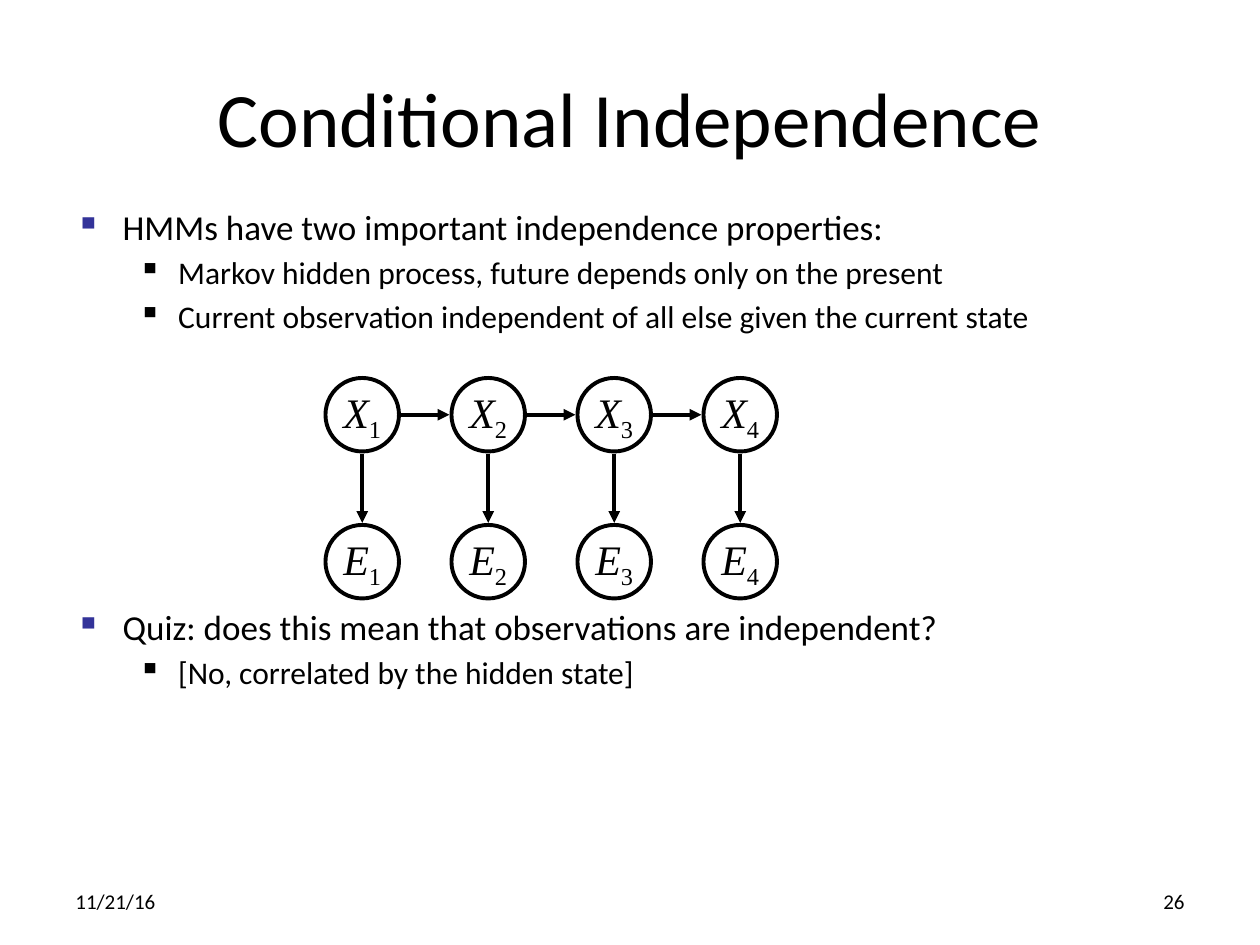
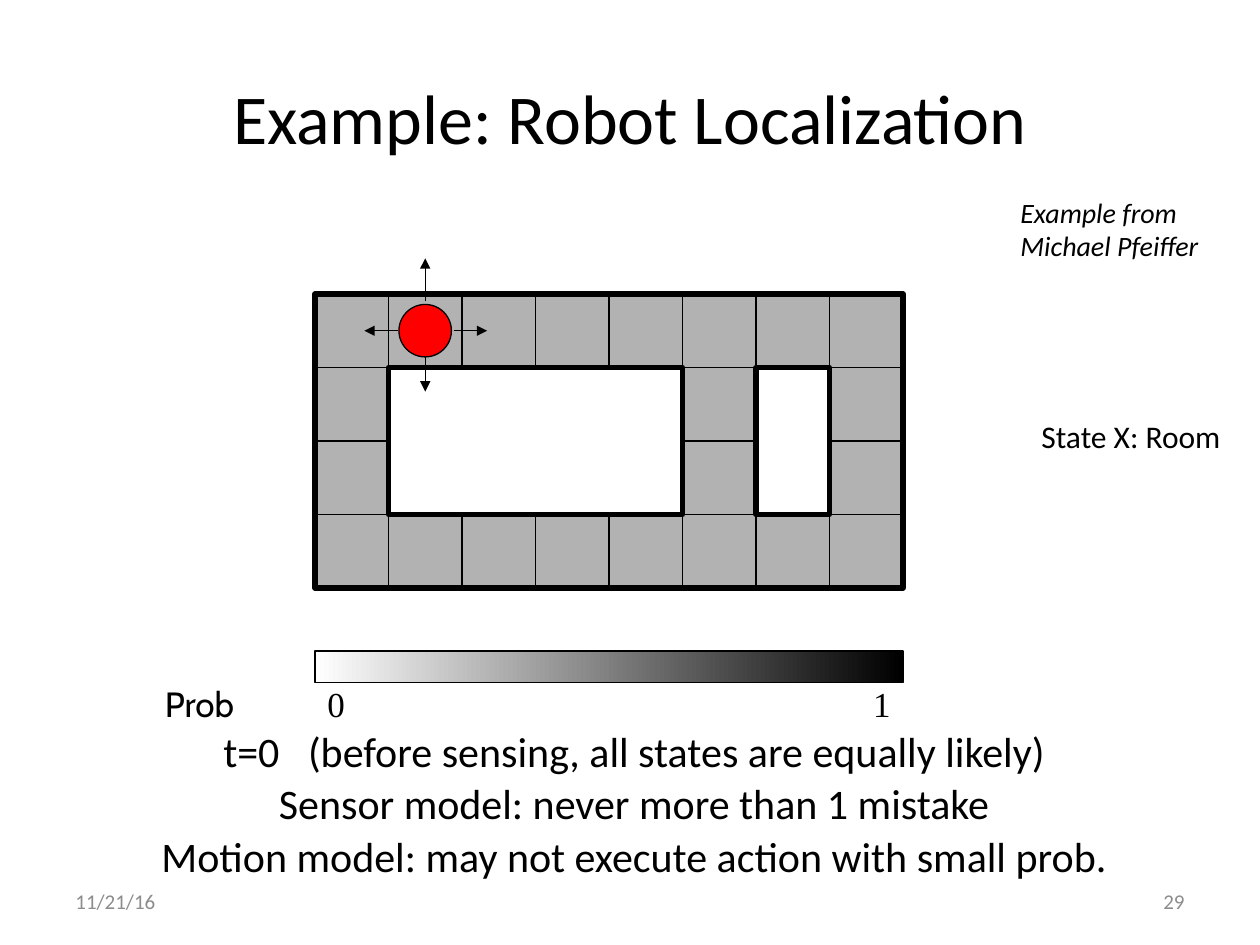
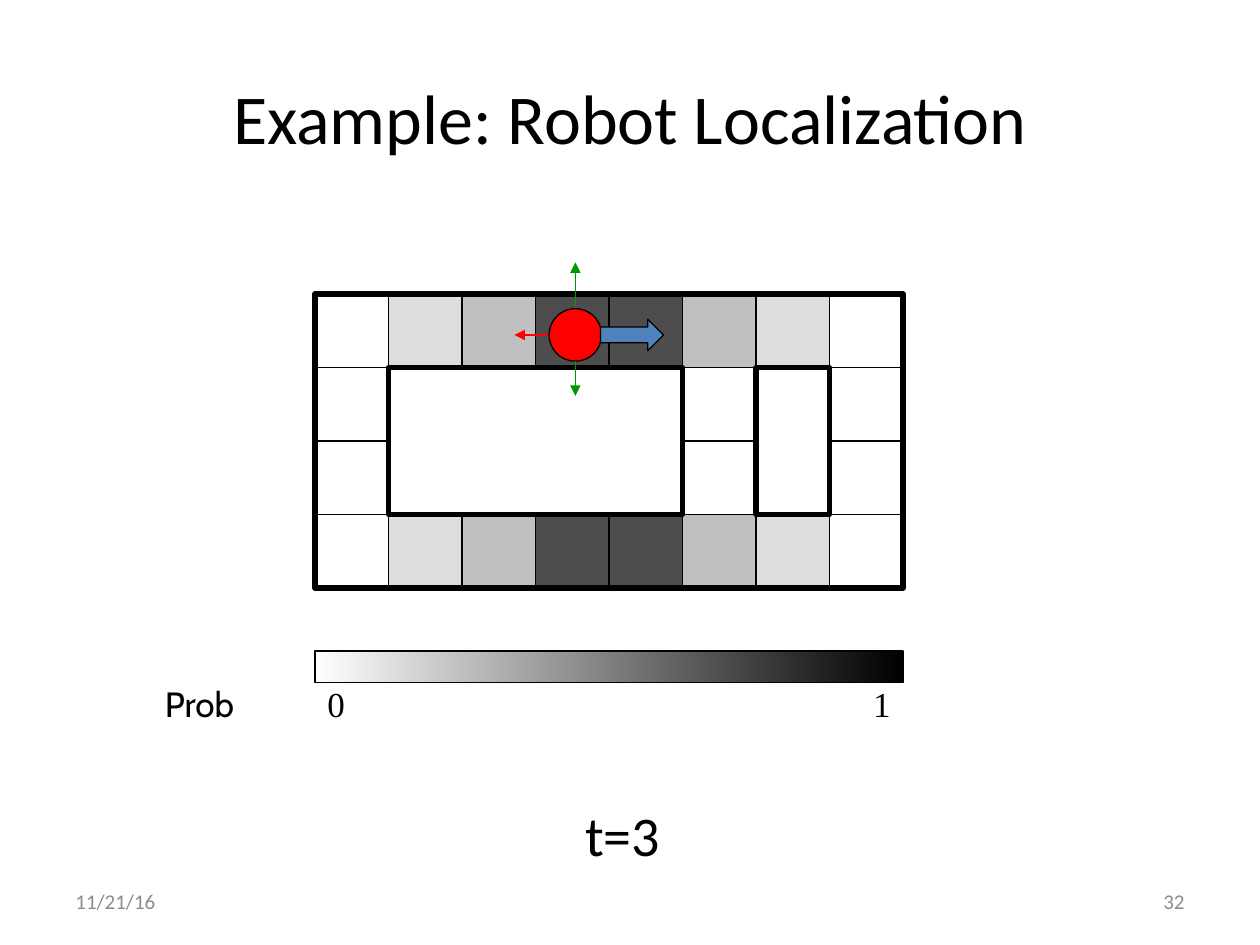
from dataclasses import dataclass
from typing import Optional

import lxml.etree
import pptx
import pptx.dml.color
import pptx.enum.shapes
import pptx.enum.text
import pptx.oxml.ns
import pptx.util

RGBColor = pptx.dml.color.RGBColor
Shape = pptx.enum.shapes.MSO_SHAPE
Align = pptx.enum.text.PP_ALIGN
Anchor = pptx.enum.text.MSO_ANCHOR
qn = pptx.oxml.ns.qn

# Scale, colours and fonts
PX = 7620  # EMU, 120 px to the inch
BLACK = RGBColor(0x00, 0x00, 0x00)
WHITE = RGBColor(0xFF, 0xFF, 0xFF)
RED = RGBColor(0xFF, 0x00, 0x00)
GREEN = RGBColor(0x00, 0x99, 0x00)
BLUE = RGBColor(0x4F, 0x81, 0xBD)
INDIGO = RGBColor(0x33, 0x33, 0x99)
FOOTER_GREY = RGBColor(0x8C, 0x8C, 0x8C)
UNIFORM = RGBColor(0xB2, 0xB2, 0xB2)
LOW = RGBColor(0xDD, 0xDD, 0xDD)
MEDIUM = RGBColor(0xC0, 0xC0, 0xC0)
HIGH = RGBColor(0x4D, 0x4D, 0x4D)
SANS, SERIF, LABEL = "Calibri", "Times New Roman", "Cabin"
THIN, MID, THICK = 0.75, 2.25, 3

# Hidden Markov model diagram
NODE, NODE_LEFT, NODE_STEP = 70, 310, 120
STATE_TOP, EVIDENCE_TOP = 360, 500
EDGE_GAP = 2

# Robot map
CELL, COLUMNS, ROWS = 70, 8, 4
MAP_LEFT, MAP_TOP = 300, 280
MAP_WIDTH, MAP_HEIGHT = COLUMNS * CELL, ROWS * CELL
CORRIDORS = (0, 5, 7)
ROBOT = 50
# Direction: unit vector, start and end distance from the robot's centre
MOVES = {
    "up": (0, -1, 28, 69),
    "down": (0, 1, 25, 58),
    "left": (-1, 0, 26, 58),
    "right": (1, 0, 27, 59),
}


@dataclass(frozen=True)
class Box:
    left: int
    top: int
    width: int
    height: int


@dataclass(frozen=True)
class Span:
    text: str
    size: float
    font: str = SANS
    color: RGBColor = BLACK
    italic: bool = False
    baseline: int = 0
    spacing: int = 0  # hundredths of a point


@dataclass(frozen=True)
class Para:
    spans: tuple[Span, ...]
    align: Align = Align.LEFT
    before: float = 0
    line_spacing: Optional[float] = None
    level: int = 0
    bullet: Optional[RGBColor] = None
    margin: int = 0
    hanging: int = 0


@dataclass(frozen=True)
class RobotSlide:
    number: str
    body: Box
    paras: tuple[Para, ...]
    row_shades: tuple[Optional[RGBColor], ...]
    corridor_shade: Optional[RGBColor]
    robot: tuple[int, int]
    moves: dict[str, RGBColor]


TITLE_BOX = Box(60, 36, 1080, 150)
DATE_BOX = Box(60, 834, 280, 48)
NUMBER_BOX = Box(860, 834, 280, 48)


def emu(box: Box) -> tuple[int, ...]:
    return tuple(value * PX for value in (box.left, box.top, box.width, box.height))


# Text
def fill_text(frame, paras: tuple[Para, ...], anchor: Anchor, wrap: bool) -> None:
    frame.word_wrap = wrap
    frame.auto_size = pptx.enum.text.MSO_AUTO_SIZE.NONE
    frame.vertical_anchor = anchor
    for index, para in enumerate(paras):
        paragraph = frame.add_paragraph() if index else frame.paragraphs[0]
        paragraph.alignment = para.align
        paragraph.level = para.level
        if para.before:
            paragraph.space_before = pptx.util.Pt(para.before)
        if para.line_spacing:
            paragraph.line_spacing = para.line_spacing
        if para.bullet is not None:
            add_bullet(paragraph, para)
        for span in para.spans:
            add_span(paragraph, span)


def add_bullet(paragraph, para: Para) -> None:
    properties = paragraph._p.get_or_add_pPr()
    properties.set("marL", str(para.margin * PX))
    properties.set("indent", str(-para.hanging * PX))
    color = lxml.etree.SubElement(properties, qn("a:buClr"))
    lxml.etree.SubElement(color, qn("a:srgbClr"), val=str(para.bullet))
    lxml.etree.SubElement(properties, qn("a:buChar"), char="▪")


def add_span(paragraph, span: Span) -> None:
    run = paragraph.add_run()
    run.text = span.text
    run.font.size = pptx.util.Pt(span.size)
    run.font.name = span.font
    run.font.color.rgb = span.color
    run.font.italic = span.italic
    properties = run._r.get_or_add_rPr()
    if span.baseline:
        properties.set("baseline", str(span.baseline * 1000))
    if span.spacing:
        properties.set("spc", str(span.spacing))


def add_text(page, box: Box, *paras: Para, anchor: Anchor = Anchor.TOP, wrap: bool = True) -> None:
    frame = page.shapes.add_textbox(*emu(box)).text_frame
    fill_text(frame, paras, anchor, wrap)


# Shapes and arrows
def add_shape(page, kind: Shape, box: Box, fill: Optional[RGBColor], weight: float):
    shape = page.shapes.add_shape(kind, *emu(box))
    shape.shadow.inherit = False
    if fill is None:
        shape.fill.background()
    else:
        shape.fill.solid()
        shape.fill.fore_color.rgb = fill
    shape.line.color.rgb = BLACK
    shape.line.width = pptx.util.Pt(weight)
    return shape


def add_arrow(page, start: tuple[int, int], end: tuple[int, int], color: RGBColor, weight: float) -> None:
    points = [value * PX for value in start + end]
    arrow = page.shapes.add_connector(pptx.enum.shapes.MSO_CONNECTOR.STRAIGHT, *points)
    arrow.line.color.rgb = color
    arrow.line.width = pptx.util.Pt(weight)
    lxml.etree.SubElement(arrow.line._get_or_add_ln(), qn("a:tailEnd"), type="triangle")
    lxml.etree.SubElement(arrow._element.spPr, qn("a:effectLst"))


# Parts shared by all slides
def add_page(deck, title: str, title_size: int, number: str, footer: RGBColor):
    page = deck.slides.add_slide(deck.slide_layouts[6])
    heading = Para((Span(title, title_size),), Align.CENTER)
    add_text(page, TITLE_BOX, heading, anchor=Anchor.MIDDLE)
    date = Para((Span("11/21/16", 12, color=footer),))
    add_text(page, DATE_BOX, date, anchor=Anchor.MIDDLE)
    count = Para((Span(number, 12, color=footer),), Align.RIGHT)
    add_text(page, NUMBER_BOX, count, anchor=Anchor.MIDDLE)
    return page


# Conditional independence
def point(text: str, before: float = 0) -> Para:
    return Para((Span(text, 20),), before=before, bullet=INDIGO, margin=45, hanging=45)


def subpoint(text: str) -> Para:
    return Para((Span(text, 18),), before=3.2, level=1, bullet=BLACK, margin=98, hanging=38)


def add_node(page, letter: str, index: int, left: int, top: int) -> None:
    node = add_shape(page, Shape.OVAL, Box(left, top, NODE, NODE), WHITE, MID)
    spans = (
        Span(letter, 24, SERIF, italic=True),
        Span(str(index), 24, SERIF, baseline=-25),
    )
    fill_text(node.text_frame, (Para(spans, Align.CENTER),), Anchor.MIDDLE, False)


def add_independence_slide(deck) -> None:
    page = add_page(deck, "Conditional Independence", 44, "26", BLACK)
    add_text(
        page,
        Box(60, 190, 1080, 614),
        point("HMMs have two important independence properties:"),
        subpoint("Markov hidden process, future depends only on the present"),
        subpoint("Current observation independent of all else given the current state"),
        point("Quiz: does this mean that observations are independent?", before=155),
        subpoint("[No, correlated by the hidden state]"),
    )
    middle = STATE_TOP + NODE // 2
    for index in range(4):
        left = NODE_LEFT + index * NODE_STEP
        center = left + NODE // 2
        add_node(page, "X", index + 1, left, STATE_TOP)
        add_node(page, "E", index + 1, left, EVIDENCE_TOP)
        below = (center, STATE_TOP + NODE + EDGE_GAP)
        add_arrow(page, below, (center, EVIDENCE_TOP - EDGE_GAP), BLACK, MID)
        if index:
            before = (left - NODE_STEP + NODE + EDGE_GAP, middle)
            add_arrow(page, before, (left - EDGE_GAP, middle), BLACK, MID)


# Robot localization
def add_map(page, row_shades: tuple[Optional[RGBColor], ...], corridor_shade: Optional[RGBColor]) -> None:
    for row in range(ROWS):
        full = row in (0, ROWS - 1)
        for column in range(COLUMNS) if full else CORRIDORS:
            box = Box(MAP_LEFT + column * CELL, MAP_TOP + row * CELL, CELL, CELL)
            shade = row_shades[column] if full else corridor_shade
            add_shape(page, Shape.RECTANGLE, box, shade, THIN)
    wide_room = Box(MAP_LEFT + CELL, MAP_TOP + CELL, 4 * CELL, 2 * CELL)
    narrow_room = Box(MAP_LEFT + 6 * CELL, MAP_TOP + CELL, CELL, 2 * CELL)
    outer_wall = Box(MAP_LEFT, MAP_TOP, MAP_WIDTH, MAP_HEIGHT)
    for wall, fill in ((wide_room, WHITE), (outer_wall, None), (narrow_room, None)):
        add_shape(page, Shape.RECTANGLE, wall, fill, THICK)


def add_scale(page) -> None:
    bar = add_shape(page, Shape.RECTANGLE, Box(MAP_LEFT, 620, MAP_WIDTH, 30), WHITE, THIN)
    bar.fill.gradient()
    bar.fill.gradient_angle = 0
    for stop, position, color in zip(bar.fill.gradient_stops, (0, 1), (WHITE, BLACK)):
        stop.position = position
        stop.color.rgb = color
    half = MAP_WIDTH // 2
    labels = (
        ("1", MAP_LEFT + half, half, SERIF, Align.RIGHT),
        ("0", MAP_LEFT, half, SERIF, Align.LEFT),
        ("Prob", 100, 180, LABEL, Align.CENTER),
    )
    for text, left, width, font, align in labels:
        para = Para((Span(text, 20, font),), align)
        add_text(page, Box(left, 650, width, 40), para, anchor=Anchor.MIDDLE)


def add_robot(page, center: tuple[int, int], moves: dict[str, RGBColor]) -> None:
    x, y = center
    body = Box(x - ROBOT // 2, y - ROBOT // 2, ROBOT, ROBOT)
    add_shape(page, Shape.OVAL, body, RED, THIN)
    for direction, color in moves.items():
        dx, dy, near, far = MOVES[direction]
        start = (x + dx * near, y + dy * near)
        add_arrow(page, start, (x + dx * far, y + dy * far), color, THIN)


def add_robot_slide(deck, slide: RobotSlide):
    page = add_page(deck, "Example: Robot Localization", 40, slide.number, FOOTER_GREY)
    add_text(page, slide.body, *slide.paras)
    add_map(page, slide.row_shades, slide.corridor_shade)
    add_scale(page)
    add_robot(page, slide.robot, slide.moves)
    return page


def caption(*spans: Span, before: float = 0) -> Para:
    return Para(spans, Align.CENTER, before, 0.9)


BEFORE_SENSING = RobotSlide(
    number="29",
    body=Box(70, 690, 1068, 167),
    paras=(
        caption(
            Span("t=0", 24),
            Span(" ", 24, spacing=1085),
            Span("(before sensing, all states are equally likely)", 24),
        ),
        caption(Span("Sensor model: never more than 1 mistake", 24), before=4.2),
        caption(Span("Motion model: may not execute action with small prob.", 24), before=4.2),
    ),
    row_shades=(UNIFORM,) * COLUMNS,
    corridor_shade=UNIFORM,
    robot=(405, 315),
    moves=dict.fromkeys(MOVES, BLACK),
)

THIRD_STEP = RobotSlide(
    number="32",
    body=Box(83, 757, 1020, 120),
    paras=(Para((Span("t=3", 32),), Align.CENTER),),
    row_shades=(None, LOW, MEDIUM, HIGH, HIGH, MEDIUM, LOW, None),
    corridor_shade=None,
    robot=(548, 319),
    moves={"up": GREEN, "down": GREEN, "left": RED},
)


def main() -> None:
    deck = pptx.Presentation()
    deck.slide_width, deck.slide_height = 1200 * PX, 900 * PX

    add_independence_slide(deck)

    page = add_robot_slide(deck, BEFORE_SENSING)
    credit = Para((Span("Example from Michael Pfeiffer", 16, italic=True),))
    add_text(page, Box(960, 180, 220, 77), credit)
    add_text(page, Box(980, 391, 198, 48), Para((Span("State X: Room", 18),)), wrap=False)

    page = add_robot_slide(deck, THIRD_STEP)
    add_shape(page, Shape.RIGHT_ARROW, Box(572, 304, 60, 30), BLUE, THIN)

    deck.save("out.pptx")


if __name__ == "__main__":
    main()
